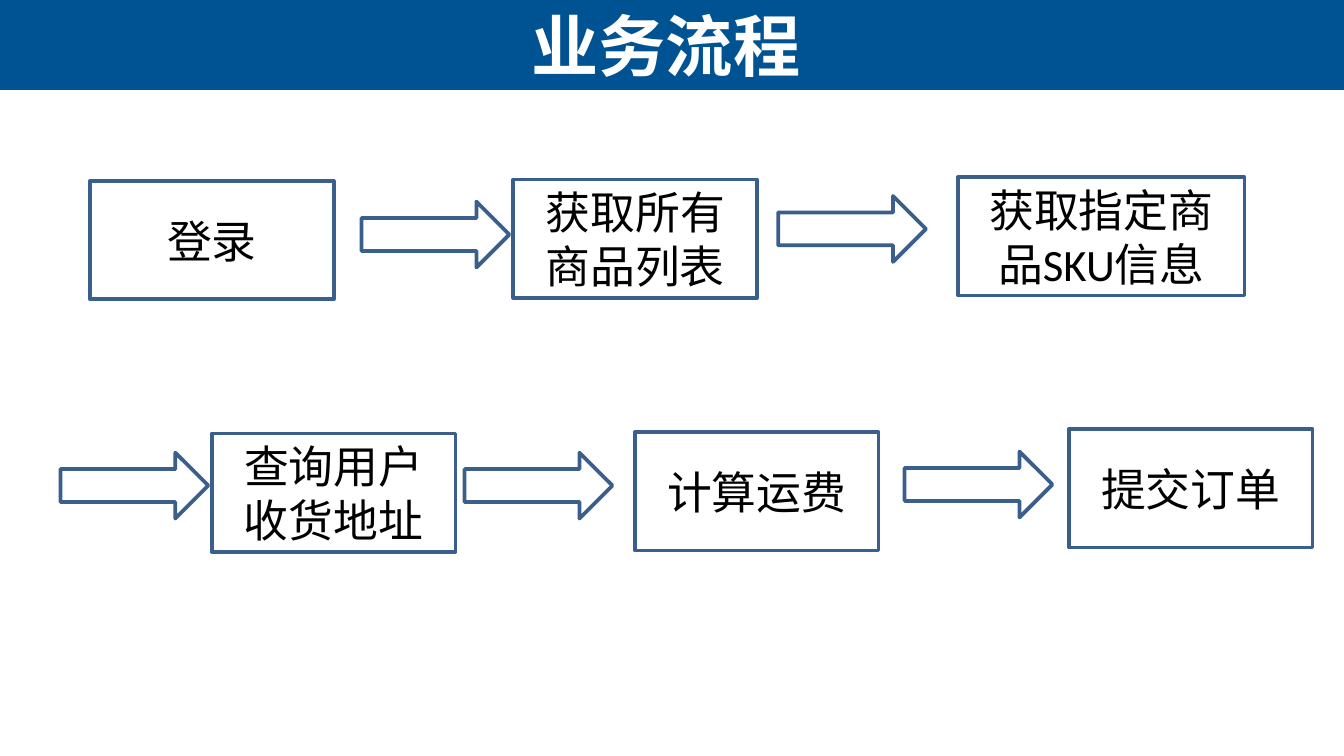
from dataclasses import dataclass

from pptx import Presentation
from pptx.dml.color import RGBColor
from pptx.enum.shapes import MSO_SHAPE as Preset
from pptx.enum.text import MSO_ANCHOR as Anchor, MSO_AUTO_SIZE as AutoSize, PP_ALIGN as Align
from pptx.util import Pt


@dataclass(frozen=True)
class Theme:
    """Colours, fonts and sizes of the slide."""
    white: RGBColor = RGBColor(0xFF, 0xFF, 0xFF)
    black: RGBColor = RGBColor(0, 0, 0)
    band: RGBColor = RGBColor(0x00, 0x53, 0x92)
    outline: RGBColor = RGBColor(0x3A, 0x5F, 0x8C)
    title_font: str = "Arial"
    body_font: str = "Calibri"
    title_size: int = 36
    body_size: int = 24
    line_width: int = 2


THEME = Theme()
SLIDE_WIDTH, SLIDE_HEIGHT = 720, 405
BAND_HEIGHT = 48.24
STEP_WIDTH, WIDE_STEP_WIDTH, STEP_HEIGHT = 130.6, 153.5, 63.4
ARROW_WIDTH, ARROW_HEIGHT = 79.2, 35.3

STEPS = [
    ("登录", 48.2, 97, STEP_WIDTH),
    ("获取所有商品列表", 275, 96.2, STEP_WIDTH),
    ("获取指定商品SKU信息", 513.2, 94.9, WIDE_STEP_WIDTH),
    ("查询用户收货地址", 113.4, 232.3, STEP_WIDTH),
    ("计算运费", 340.1, 231.5, STEP_WIDTH),
    ("提交订单", 572.6, 229.9, STEP_WIDTH),
]
ARROWS = [(193.7, 108), (416.9, 105), (32.4, 242.5), (248.9, 242.5), (484.6, 241.9)]


def write_text(shape, text, size, font, color, bold=False):
    """Put one centred, formatted paragraph in a shape."""
    frame = shape.text_frame
    for name, value in {"text": text, "word_wrap": True, "auto_size": AutoSize.NONE,
                        "vertical_anchor": Anchor.MIDDLE}.items():
        setattr(frame, name, value)
    paragraph = frame.paragraphs[0]
    paragraph.alignment = Align.CENTER
    run = paragraph.runs[0]
    for name, value in {"size": Pt(size), "name": font, "bold": bold}.items():
        setattr(run.font, name, value)
    run.font.color.rgb = color


def add_preset(slide, preset, left, top, width, height):
    """Add a preset shape without shadow."""
    shape = slide.shapes.add_shape(preset, Pt(left), Pt(top), Pt(width), Pt(height))
    shape.shadow.inherit = False
    return shape


def add_outlined(slide, preset, left, top, width, height):
    """Add an unfilled shape with the theme outline."""
    shape = add_preset(slide, preset, left, top, width, height)
    shape.fill.background()
    shape.line.color.rgb = THEME.outline
    shape.line.width = Pt(THEME.line_width)
    return shape


def add_title(slide, text):
    """Format the title and lay the colour band behind it."""
    title = slide.shapes.title
    for name, value in {"left": 1.4, "top": 0, "width": 710.6, "height": BAND_HEIGHT}.items():
        setattr(title, name, Pt(value))
    write_text(title, text, THEME.title_size, THEME.title_font, THEME.white, bold=True)
    band = add_preset(slide, Preset.RECTANGLE, 0, 0, SLIDE_WIDTH, BAND_HEIGHT)
    band.fill.solid()
    band.fill.fore_color.rgb = THEME.band
    band.line.fill.background()
    title.element.addprevious(band.element)


def add_step(slide, text, left, top, width):
    """Add one labelled process step."""
    step = add_outlined(slide, Preset.RECTANGLE, left, top, width, STEP_HEIGHT)
    write_text(step, text, THEME.body_size, THEME.body_font, THEME.black)


def main():
    """Build the business process slide."""
    presentation = Presentation()
    presentation.slide_width = Pt(SLIDE_WIDTH)
    presentation.slide_height = Pt(SLIDE_HEIGHT)
    slide = presentation.slides.add_slide(presentation.slide_layouts.get_by_name("Title Only"))
    slide.background.fill.solid()
    slide.background.fill.fore_color.rgb = THEME.white
    add_title(slide, "业务流程")
    for step in STEPS:
        add_step(slide, *step)
    for left, top in ARROWS:
        add_outlined(slide, Preset.RIGHT_ARROW, left, top, ARROW_WIDTH, ARROW_HEIGHT)
    presentation.save("out.pptx")


if __name__ == "__main__":
    main()
